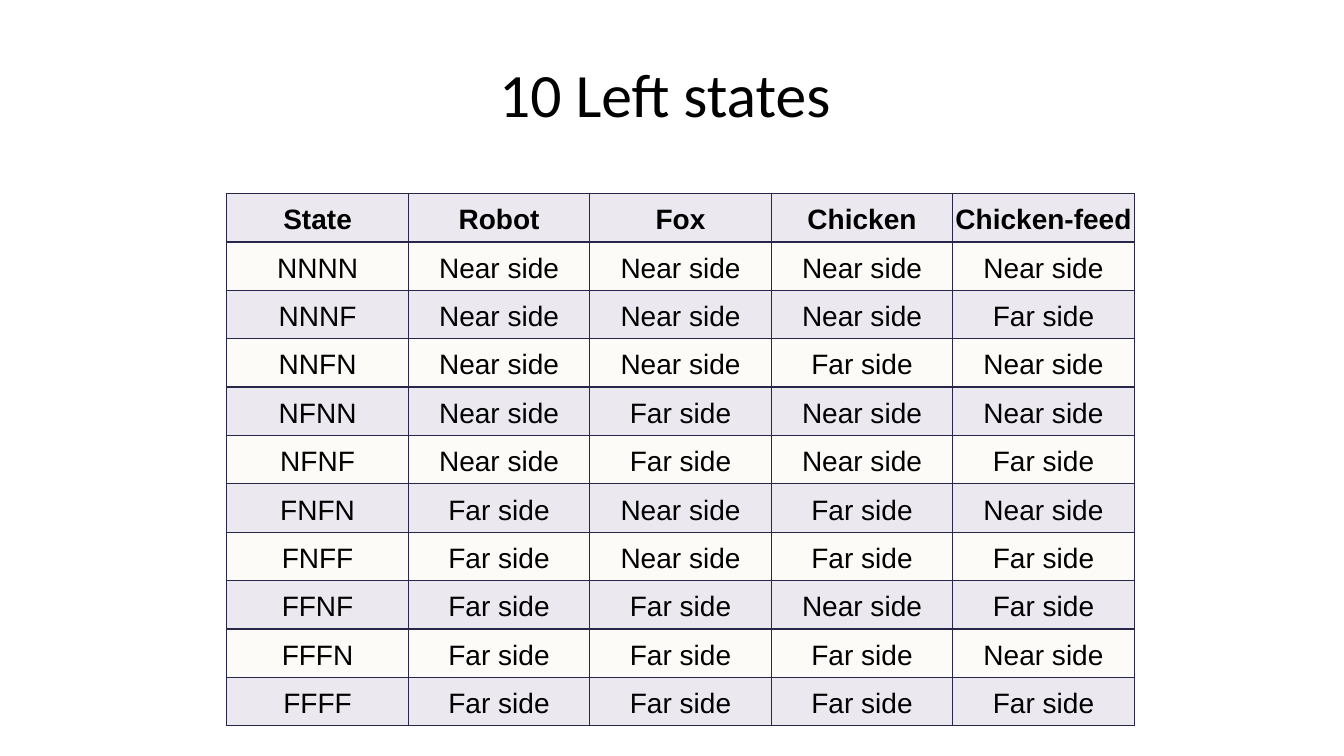
from lxml.etree import SubElement
from pptx import Presentation
from pptx.dml.color import RGBColor
from pptx.enum.text import MSO_ANCHOR as Anchor, PP_ALIGN as Align
from pptx.oxml.ns import qn
from pptx.util import Inches, Pt

BLACK = RGBColor(0x00, 0x00, 0x00)
LILAC = RGBColor(0xEB, 0xE9, 0xEF)
CREAM = RGBColor(0xFC, 0xFB, 0xF8)
NAVY = RGBColor(0x29, 0x26, 0x4C)

WIDE, HIGH = Inches(13.33), Inches(7.5)
COL, ROW = Inches(1.8), Inches(0.48)
SIDES = {"N": "Near side", "F": "Far side"}
HEADS = ["State", "Robot", "Fox", "Chicken", "Chicken-feed"]
STATES = ["NNNN", "NNNF", "NNFN", "NFNN", "NFNF",
          "FNFN", "FNFF", "FFNF", "FFFN", "FFFF"]


def style(para, face, size, bold=False):
    para.alignment = Align.CENTER
    for run in para.runs:
        font = run.font
        font.name, font.size, font.bold = face, Pt(size), bold
        font.color.rgb = BLACK


def add_title(slide, text):
    title = slide.shapes.title
    title.left, title.top = round(WIDE * 0.05), round(HIGH * 0.04)
    title.width, title.height = round(WIDE * 0.9), Inches(1.25)
    frame = title.text_frame
    frame.text = text
    frame.vertical_anchor = Anchor.MIDDLE
    style(frame.paragraphs[0], "Calibri", 44)


def add_edges(cell):
    props = cell._tc.get_or_add_tcPr()
    for edge in ("a:lnL", "a:lnR", "a:lnT", "a:lnB"):
        line = SubElement(props, qn(edge), w=str(Pt(1)))
        fill = SubElement(line, qn("a:solidFill"))
        SubElement(fill, qn("a:srgbClr"), val=str(NAVY))


def fill_cell(cell, text, tint, bold):
    cell.margin_left = cell.margin_right = 0
    cell.margin_top = cell.margin_bottom = 0
    cell.vertical_anchor = Anchor.MIDDLE
    add_edges(cell)
    cell.fill.solid()
    cell.fill.fore_color.rgb = tint
    cell.text_frame.text = text
    para = cell.text_frame.paragraphs[0]
    para.line_spacing = 1.15
    style(para, "Arial", 20, bold)


def add_grid(slide, rows):
    wide, high = len(rows[0]), len(rows)
    table = slide.shapes.add_table(
        high, wide, Inches(2.25), Inches(1.92), COL * wide, ROW * high).table
    table.first_row = table.horz_banding = False
    for r, row in enumerate(rows):
        for c, text in enumerate(row):
            tint = CREAM if r % 2 else LILAC
            fill_cell(table.cell(r, c), text, tint, r == 0)


def main():
    deck = Presentation()
    deck.slide_width, deck.slide_height = WIDE, HIGH
    slide = deck.slides.add_slide(deck.slide_layouts[5])
    add_title(slide, "10 Left states ")
    rows = [[state] + [SIDES[key] for key in state] for state in STATES]
    add_grid(slide, [HEADS] + rows)
    deck.save("out.pptx")


if __name__ == "__main__":
    main()
